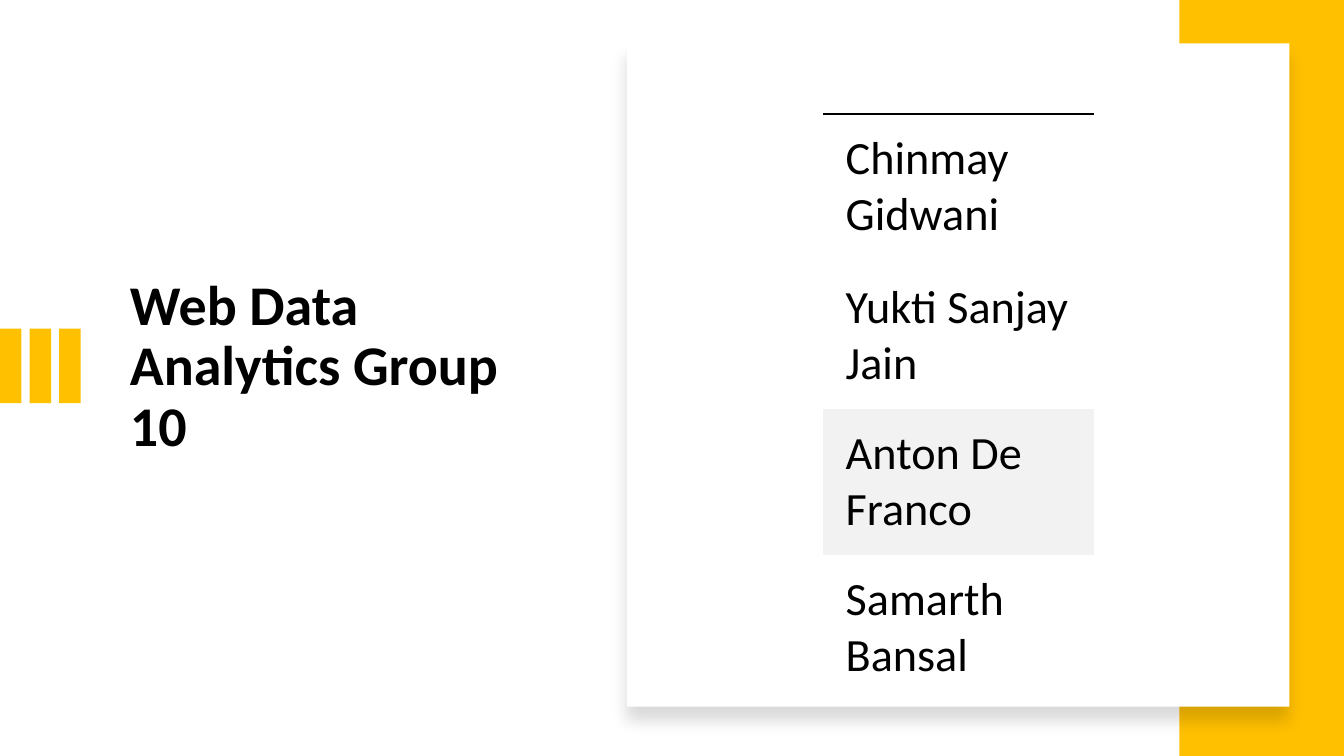
from lxml.etree import SubElement
from pptx import Presentation
from pptx.dml.color import RGBColor
from pptx.enum.shapes import MSO_SHAPE as Preset
from pptx.enum.text import MSO_ANCHOR as Anchor, PP_ALIGN as Align
from pptx.oxml.ns import qn
from pptx.util import Inches, Pt

GOLD, WHITE, BLACK, STRIPE = "FFC000", "FFFFFF", "000000", "F2F2F2"
MEMBERS = ["Chinmay Gidwani", "Yukti Sanjay Jain", "Anton De Franco", "Samarth Bansal"]
ROW_HEIGHTS = [19.73, 19.33, 19.33, 19.33]


def color(value):
    return RGBColor.from_string(value)


def apply(target, values):
    for name, value in values.items():
        setattr(target, name, value)


class SlideBuilder:
    title_font = {"name": "Calibri", "size": Pt(40), "bold": True}
    member_font = {"name": "Calibri", "size": Pt(33), "bold": False}
    cell_format = {
        "margin_left": Inches(0.23),
        "margin_right": Inches(0.23),
        "margin_top": Inches(0.16),
        "margin_bottom": Inches(0.16),
        "vertical_anchor": Anchor.TOP,
    }

    def __init__(self, presentation):
        self.width = presentation.slide_width
        self.height = presentation.slide_height
        self.slide = presentation.slides.add_slide(presentation.slide_layouts[6])

    def across(self, percent):
        return round(self.width * percent / 100)

    def down(self, percent):
        return round(self.height * percent / 100)

    def box(self, left, top, width, height):
        return self.across(left), self.down(top), self.across(width), self.down(height)

    def add_words(self, frame, text, font, line_spacing):
        paragraph = frame.paragraphs[0]
        apply(paragraph, {"alignment": Align.LEFT, "line_spacing": line_spacing})
        run = paragraph.add_run()
        run.text = text
        apply(run.font, font)
        run.font.color.rgb = color(BLACK)

    def title(self, text, *area):
        frame = self.slide.shapes.add_textbox(*self.box(*area)).text_frame
        apply(frame, {"word_wrap": True, "vertical_anchor": Anchor.TOP})
        self.add_words(frame, text, self.title_font, 0.9)

    def rectangle(self, fill, *area):
        shape = self.slide.shapes.add_shape(Preset.RECTANGLE, *self.box(*area))
        shape.shadow.inherit = False
        shape.fill.solid()
        shape.fill.fore_color.rgb = color(fill)
        shape.line.fill.background()
        return shape

    def card(self, *area):
        shape = self.rectangle(WHITE, *area)
        effects = shape._element.spPr.find(qn("a:effectLst"))
        shadow = SubElement(effects, qn("a:outerShdw"), blurRad=str(Pt(11)),
                            dist=str(Pt(10)), dir="5400000", algn="t", rotWithShape="0")
        shade = SubElement(shadow, qn("a:srgbClr"), val=BLACK)
        SubElement(shade, qn("a:alpha"), val="15000")

    def borders(self, cell, top_line):
        properties = cell._tc.get_or_add_tcPr()
        for side in ("lnL", "lnR", "lnT", "lnB"):
            line = SubElement(properties, qn(f"a:{side}"))
            if side == "lnT" and top_line:
                line.set("w", str(Pt(2.25)))
                fill = SubElement(line, qn("a:solidFill"))
                SubElement(fill, qn("a:srgbClr"), val=BLACK)
            else:
                SubElement(line, qn("a:noFill"))

    def member_table(self, names, heights, left, top, width):
        area = self.box(left, top, width, sum(heights))
        table = self.slide.shapes.add_table(len(names), 1, *area).table
        apply(table, {"first_row": False, "horz_banding": False})
        for index, (name, height) in enumerate(zip(names, heights)):
            table.rows[index].height = self.down(height)
            cell = table.cell(index, 0)
            apply(cell, self.cell_format)
            self.add_words(cell.text_frame, name, self.member_font, 1.0)
            self.borders(cell, index == 0)
            if index == 2:
                cell.fill.solid()
                cell.fill.fore_color.rgb = color(STRIPE)
            else:
                cell.fill.background()


def main():
    presentation = Presentation()
    apply(presentation, {"slide_width": Inches(13.33), "slide_height": Inches(7.5)})
    builder = SlideBuilder(presentation)
    builder.title("Web Data Analytics Group 10", 8.93, 36, 33.08, 34.8)
    for index in range(3):
        builder.rectangle(GOLD, index * 2.2, 43.47, 1.6, 9.87)
    builder.rectangle(GOLD, 87.75, 0, 12.25, 100)
    builder.card(46.65, 5.73, 49.28, 87.73)
    builder.member_table(MEMBERS, ROW_HEIGHTS, 61.2, 15.07, 20.18)
    presentation.save("out.pptx")


if __name__ == "__main__":
    main()
